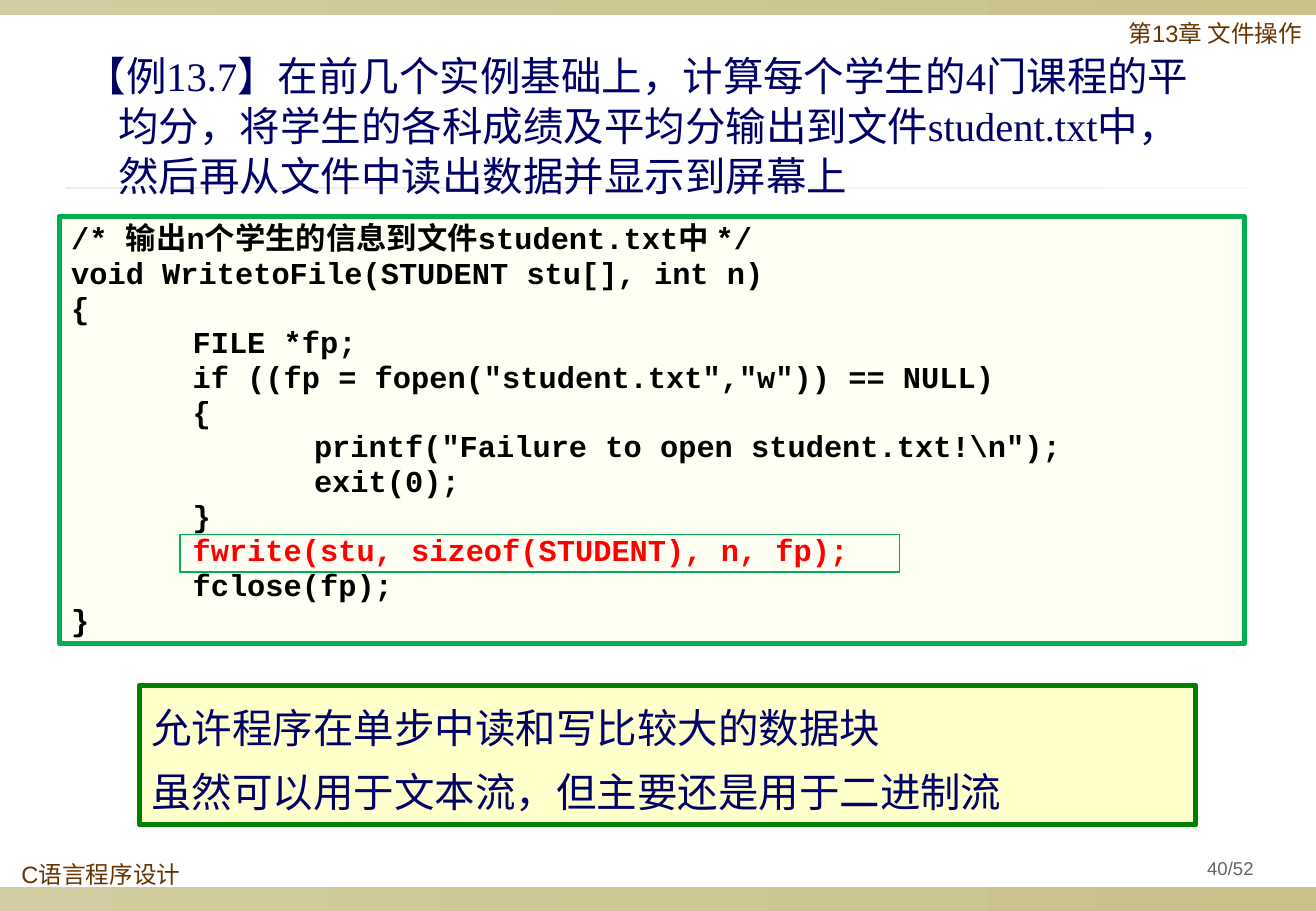
"""Build the slide on writing student records to a file with fwrite."""
from lxml import etree
from pptx import Presentation
from pptx.dml.color import RGBColor
from pptx.enum.shapes import MSO_SHAPE as Kind
from pptx.enum.text import MSO_ANCHOR as Anchor, MSO_AUTO_SIZE as Auto, PP_ALIGN as Align
from pptx.oxml.ns import qn
from pptx.util import Cm, Pt

HUES = {
    "olive": "D3CEA1", "moss": "C8C18A", "rule": "EDECE5", "pale": "F8F7F5",
    "brown": "663300", "navy": "000066", "gray": "636363", "black": "000000",
    "red": "FF0000", "green": "00B050", "dark": "008000",
    "ivory": "FFFFF4", "cream": "FFFFCC",
}
WIDE, HIGH = 27.53, 19.05
TAB = 2.54

TITLE = ("【例13.7】在前几个实例基础上，计算每个学生的4门课程的平均分，"
         "将学生的各科成绩及平均分输出到文件student.txt中，"
         "然后再从文件中读出数据并显示到屏幕上")
CODE = [
    "/* 输出n个学生的信息到文件student.txt中 */",
    "void WritetoFile(STUDENT stu[], int n)",
    "{",
    "\tFILE *fp;",
    '\tif ((fp = fopen("student.txt","w")) == NULL)',
    "\t{",
    '\t\tprintf("Failure to open student.txt!\\n");',
    "\t\texit(0);",
    "\t}",
    "\tfwrite(stu, sizeof(STUDENT), n, fp);",
    "\tfclose(fp);",
    "}",
]
NOTES = ["允许程序在单步中读和写比较大的数据块",
         "虽然可以用于文本流，但主要还是用于二进制流"]
BANDS = [
    ((0, 18.54, WIDE, 0.51), "olive", "moss"),
    ((0, 0, WIDE, 0.31), "olive", "moss"),
    ((1.37, 3.91, 24.77, 0.05), "rule", "pale"),
]
LABELS = [
    ("C语言程序设计", (0.2, 17.91, 5.97, 0.81), 14, "brown", Align.LEFT),
    ("第13章 文件操作", (23.36, 0.33, 4.6, 0.99), 14, "brown", Align.LEFT),
    ("40/52", (24.37, 17.78, 2.74, 0.79), 11, "gray", Align.CENTER),
]


def hue(name):
    return RGBColor.from_string(HUES[name])


def rect(area, fill=None, line=None, width=3):
    box = shapes.add_shape(Kind.RECTANGLE, *map(Cm, area))
    box.shadow.inherit = False
    if fill:
        box.fill.solid()
        box.fill.fore_color.rgb = hue(fill)
    else:
        box.fill.background()
    if line:
        box.line.color.rgb = hue(line)
        box.line.width = Pt(width)
    else:
        box.line.fill.background()
    return box


def write(box, lines, face, size, color, gap, top=0.13, bold=False,
          align=Align.LEFT, anchor=Anchor.TOP):
    frame = box.text_frame
    frame.word_wrap = True
    frame.auto_size = Auto.NONE
    frame.vertical_anchor = anchor
    frame.margin_left = frame.margin_right = Cm(0.25)
    frame.margin_top, frame.margin_bottom = Cm(top), Cm(0.13)
    for i, line in enumerate(lines):
        para = frame.add_paragraph() if i else frame.paragraphs[0]
        para.text = line
        para.alignment = align
        para.line_spacing = gap
        para.space_before = Pt(0)
        font = para.font
        font.name, font.size, font.bold = face, Pt(size), bold
        font.color.rgb = hue(color)
    return frame.paragraphs


def set_tabs(para, count):
    props = para._p.get_or_add_pPr()
    tabs = etree.Element(qn("a:tabLst"))
    for i in range(1, count + 1):
        etree.SubElement(tabs, qn("a:tab"), pos=str(Cm(TAB * i)), algn="l")
    props.find(qn("a:defRPr")).addprevious(tabs)


deck = Presentation()
deck.slide_width, deck.slide_height = Cm(WIDE), Cm(HIGH)
slide = deck.slides.add_slide(deck.slide_layouts[5])
shapes = slide.shapes

for area, start, end in BANDS:
    band = rect(area)
    band.fill.gradient()
    band.fill.gradient_angle = 0
    for stop, name in zip(band.fill.gradient_stops, (start, end)):
        stop.color.rgb = hue(name)

for text, area, size, color, align in LABELS:
    label = shapes.add_textbox(*map(Cm, area))
    write(label, [text], "Arial", size, color, 0.9, align=align,
          anchor=Anchor.MIDDLE if align == Align.CENTER else Anchor.TOP)

code = rect((1.24, 4.52, 24.79, 8.94), "ivory", "green")
rows = write(code, CODE, "Courier New", 18, "black", Pt(20.55), 0.11, True)
for row in rows:
    set_tabs(row, 2)
    if "fwrite" in row.text:
        row.font.color.rgb = hue("red")

title = shapes.title
title.left, title.top, title.width, title.height = map(Cm, (1.26, 0.91, 23.98, 3.94))
head = write(title, [TITLE], "Times New Roman", 24, "navy", Pt(29.65))[0]
props = head._p.get_or_add_pPr()
props.set("marL", str(Cm(0.97)))
props.set("indent", str(Cm(-0.69)))
title.element.getparent().append(title.element)

rect((3.76, 11.18, 15.06, 0.79), line="green", width=1)
note = rect((2.92, 14.33, 22.1, 2.92), "cream", "dark")
write(note, NOTES, "Noto Sans CJK SC", 24, "navy", Pt(38.5), 0.02)

deck.save("out.pptx")
